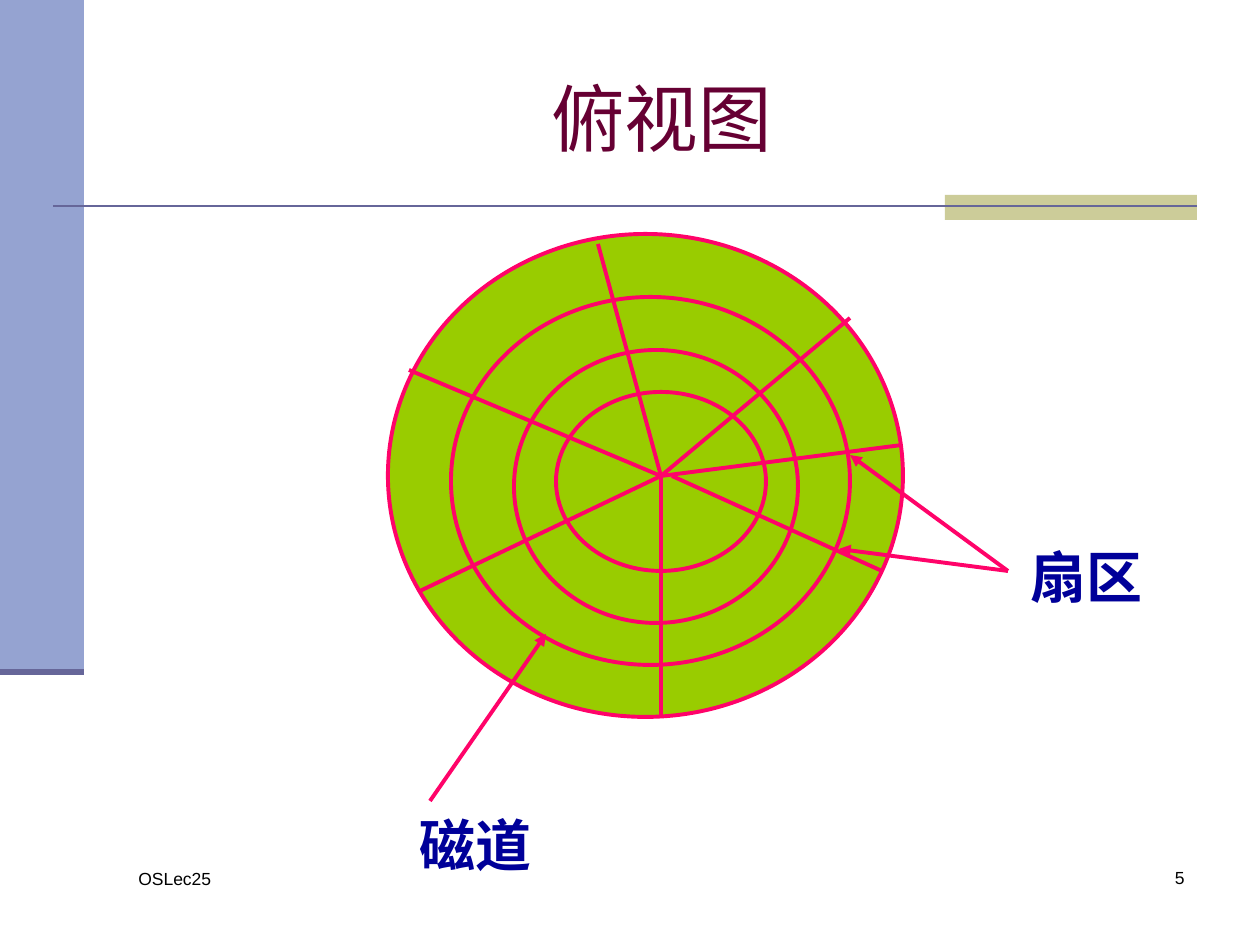
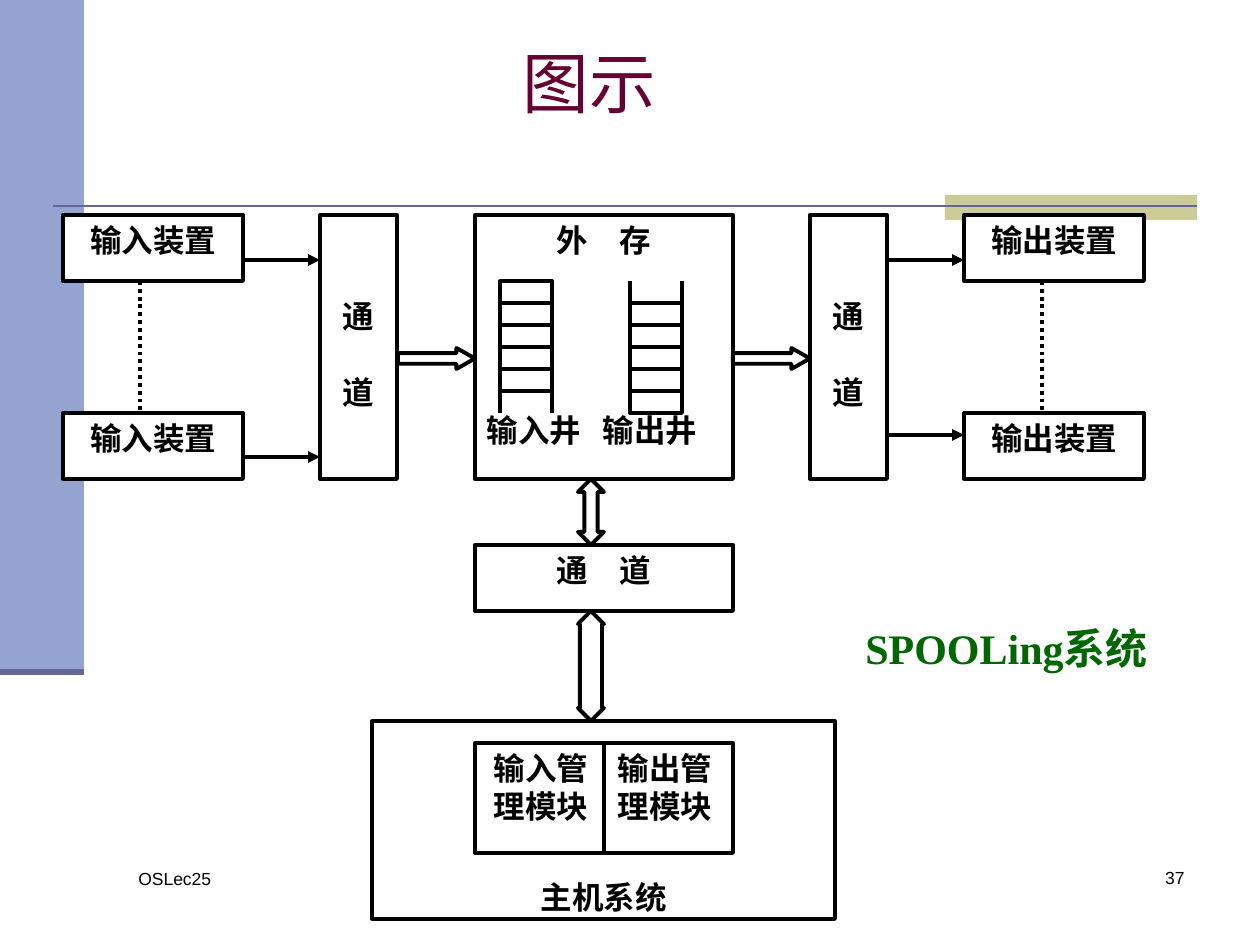
from pptx import Presentation
from pptx.dml.color import RGBColor
from pptx.enum.dml import MSO_LINE
from pptx.enum.shapes import MSO_CONNECTOR, MSO_SHAPE
from pptx.enum.text import MSO_ANCHOR, PP_ALIGN
from pptx.oxml.ns import qn
from pptx.util import Pt
from lxml import etree

PX = 914400 // 126
RECT, OVAL = MSO_SHAPE.RECTANGLE, MSO_SHAPE.OVAL
RIGHT_ARROW, UP_DOWN = MSO_SHAPE.RIGHT_ARROW, MSO_SHAPE.UP_DOWN_ARROW
STRAIGHT, DOTTED = MSO_CONNECTOR.STRAIGHT, MSO_LINE.ROUND_DOT
LEFT, CENTER, RIGHT = PP_ALIGN.LEFT, PP_ALIGN.CENTER, PP_ALIGN.RIGHT
TOP, MIDDLE, BOTTOM = MSO_ANCHOR.TOP, MSO_ANCHOR.MIDDLE, MSO_ANCHOR.BOTTOM

BLUE, KHAKI, SLATE = "95A3D1", "CCCC99", "666699"
MAROON, NAVY, DARK_GREEN = "660033", "000099", "006600"
LIME, PINK, BLACK, WHITE = "99CC00", "FF0369", "000000", "FFFFFF"

FOOTER = dict(size=Pt(10), name="Arial", bold=False)
BODY = dict(size=Pt(18), name="Times New Roman", bold=True)
LABEL = dict(BODY, size=Pt(32))
SYSTEM = dict(BODY, size=Pt(24))


def box(s, kind, at, fill=None, line=None, text="", font=BODY, color=BLACK,
        align=CENTER, anchor=TOP, inset=6, gap=0, wrap=True):
    x, y, w, h = (v * PX for v in at)
    if kind is None:
        sp = s.shapes.add_textbox(x, y, w, h)
    else:
        sp = s.shapes.add_shape(kind, x, y, w, h)
        sp.shadow.inherit = False
    if fill:
        sp.fill.solid()
        sp.fill.fore_color.rgb = RGBColor.from_string(fill)
    else:
        sp.fill.background()
    if line:
        sp.line.color.rgb = RGBColor.from_string(line)
        sp.line.width = Pt(2.24)
    else:
        sp.line.fill.background()
    if text:
        tf = sp.text_frame
        frame = dict(word_wrap=wrap, vertical_anchor=anchor, margin_top=inset * PX)
        for key, value in frame.items():
            setattr(tf, key, value)
        for i, words in enumerate(text.split("\n")):
            p = tf.add_paragraph() if i else tf.paragraphs[0]
            p.alignment = align
            if i and gap:
                p.space_before = Pt(gap)
            r = p.add_run()
            r.text = words
            for key, value in font.items():
                setattr(r.font, key, value)
            r.font.color.rgb = RGBColor.from_string(color)
    return sp


def line(s, x1, y1, x2, y2, color=BLACK, width=2.24, arrow=False, dash=None):
    c = s.shapes.add_connector(STRAIGHT, x1 * PX, y1 * PX, x2 * PX, y2 * PX)
    c.line.color.rgb = RGBColor.from_string(color)
    c.line.width = Pt(width)
    if dash:
        c.line.dash_style = dash
    spPr = c.element.spPr
    if arrow:
        etree.SubElement(spPr.find(qn("a:ln")), qn("a:tailEnd"), type="triangle")
    etree.SubElement(spPr, qn("a:effectLst"))


prs = Presentation()
prs.slide_width, prs.slide_height = 1260 * PX, 945 * PX

slides = []
for number, title, at, size, anchor in (
        ("5", "俯视图", (126, 38, 1071, 158), 42, MIDDLE),
        ("37", "图示", (53, 32, 1073, 96), 38, BOTTOM)):
    s = prs.slides.add_slide(prs.slide_layouts[6])
    box(s, RECT, (0, 0, 84, 672), BLUE)
    box(s, RECT, (945, 195, 252, 25), KHAKI)
    line(s, 53, 206, 1197, 206, SLATE, 1.5)
    line(s, 0, 672, 84, 672, SLATE, 3.49)
    box(s, None, (126, 862, 273, 63), text="OSLec25", font=FOOTER, align=LEFT)
    box(s, None, (935, 861, 262, 63), text=number, font=FOOTER, align=RIGHT)
    box(s, None, at, text=title, font=dict(FOOTER, size=Pt(size)),
        color=MAROON, anchor=anchor)
    slides.append(s)
disk, spool = slides

for at in ((388, 234, 515, 483), (451, 297, 399, 368),
           (514, 350, 284, 273), (556, 392, 210, 179)):
    box(disk, OVAL, at, LIME, PINK)
for x, y in ((850, 318), (661, 717), (420, 591), (598, 244), (409, 370), (902, 445)):
    line(disk, 661, 476, x, y, PINK)
line(disk, 672, 476, 882, 571, PINK)
for ends in ((430, 801, 546, 634), (1008, 571, 850, 455), (1008, 571, 839, 549)):
    line(disk, *ends, PINK, arrow=True)
for x, y, text in ((407, 804, "磁道"), (1018, 536, "扇区")):
    box(disk, None, (x, y, 137, 81), text=text, font=LABEL, color=NAVY,
        align=LEFT, anchor=MIDDLE, wrap=False)

for x, text, dots in ((63, "输入装置", 140), (964, "输出装置", 1042)):
    for y in (215, 413):
        box(spool, RECT, (x, y, 180, 66), WHITE, BLACK, text)
    line(spool, dots, 281, dots, 413, dash=DOTTED)
for x in (320, 810):
    box(spool, RECT, (x, 215, 77, 264), WHITE, BLACK, "通\n道", inset=82, gap=21.6)
for x, y in ((243, 260), (243, 457), (887, 260), (887, 435)):
    line(spool, x, y, x + 77, y, arrow=True)

for x, top, leg in ((500, 281, 391), (630, 303, 281)):
    box(spool, RECT, (x, top, 52, 110), WHITE, BLACK)
    for i in range(1, 5):
        line(spool, x, top + 22 * i, x + 52, top + 22 * i)
    for side in (x, x + 52):
        line(spool, side, leg, side, leg + 22)

box(spool, RECT, (475, 545, 258, 66), WHITE, BLACK, "通\u3000道")
box(spool, RECT, (372, 721, 463, 198), WHITE, BLACK, "主机系统", inset=157)
box(spool, RECT, (475, 743, 258, 110), WHITE, BLACK)
line(spool, 604, 743, 604, 853)
for kind, at, head in ((RIGHT_ARROW, (398, 348, 77, 21), 0.88),
                       (RIGHT_ARROW, (733, 348, 77, 21), 0.88),
                       (UP_DOWN, (578, 479, 26, 66), 0.51),
                       (UP_DOWN, (578, 611, 26, 110), 0.85)):
    sp = box(spool, kind, at, WHITE, BLACK)
    sp.adjustments[0], sp.adjustments[1] = 0.5, head
box(spool, RECT, (475, 215, 258, 264), None, BLACK, "外\u3000存")
for x, y, text in ((469, 405, "输入井"), (585, 405, "输出井"),
                   (476, 743, "输入管\n理模块"), (600, 743, "输出管\n理模块")):
    box(spool, None, (x, y, 130, 50 * (text.count("\n") + 1)), text=text)
box(spool, None, (853, 617, 318, 63), text="SPOOLing系统", font=SYSTEM,
    color=DARK_GREEN, align=LEFT, wrap=False)

prs.save("out.pptx")
